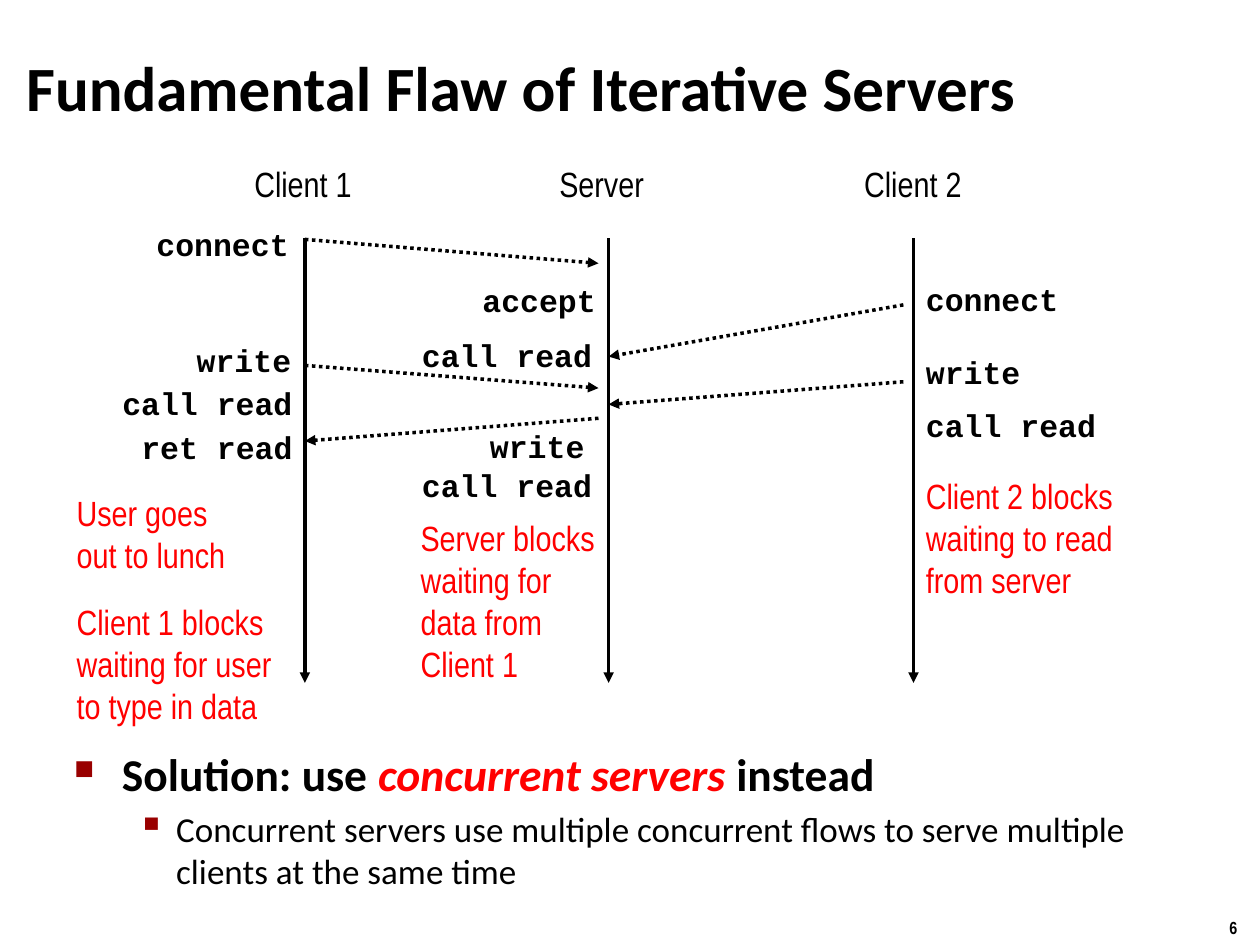
from typing import NamedTuple

from lxml.etree import SubElement
from pptx import Presentation
from pptx.dml.color import RGBColor
from pptx.enum.dml import MSO_LINE
from pptx.enum.shapes import MSO_CONNECTOR
from pptx.enum.text import MSO_ANCHOR, MSO_AUTO_SIZE, PP_ALIGN
from pptx.oxml.ns import qn
from pptx.util import Inches, Pt

BLACK = RGBColor(0x00, 0x00, 0x00)
RED = RGBColor(0xFF, 0x00, 0x00)
BULLET_RED = RGBColor(0x99, 0x00, 0x00)
HEADING, LABEL, CODE = "Calibri", "Arial Narrow", "Courier New"

CLIENT_1, SERVER, CLIENT_2 = 2.42, 4.83, 7.25
GAP = 0.08
TIMELINE_TOP, TIMELINE_BOTTOM = 1.89, 5.42


class Box(NamedTuple):
    x: float
    y: float
    w: float
    h: float


class Call(NamedTuple):
    text: str
    box: Box
    align: PP_ALIGN = PP_ALIGN.LEFT


class Note(NamedTuple):
    lines: list[str]
    box: Box
    color: RGBColor = RED
    gap_before: int | None = None  # index of the line that starts a new block


class Message(NamedTuple):
    x1: float
    y1: float
    x2: float
    y2: float


HEADERS = [
    Note(["Client 1"], Box(1.92, 1.24, 0.98, 0.44), BLACK),
    Note(["Server"], Box(4.34, 1.24, 0.88, 0.44), BLACK),
    Note(["Client 2"], Box(6.76, 1.24, 0.98, 0.44), BLACK),
]
NOTES = [
    Note(["User goes", "out to lunch", "Client 1 blocks", "waiting for user",
          "to type in data"], Box(0.51, 3.85, 1.76, 2.02), gap_before=2),
    Note(["Client 2 blocks", "waiting to read", "from server"],
         Box(CLIENT_2, 3.72, 1.7, 1.11)),
    Note(["Server blocks", "waiting for", "data from", "Client 1"],
         Box(3.24, 4.05, 1.6, 1.45)),
]
CALLS = [
    Call("connect", Box(1.13, 1.74, 1.26, 0.4), PP_ALIGN.RIGHT),
    Call("write", Box(1.45, 2.66, 0.96, 0.4), PP_ALIGN.RIGHT),
    Call("call read", Box(0.86, 3.0, 1.56, 0.4), PP_ALIGN.RIGHT),
    Call("ret read", Box(1.01, 3.35, 1.41, 0.4), PP_ALIGN.RIGHT),
    Call("accept", Box(3.73, 2.18, 1.11, 0.4)),
    Call("call read", Box(3.25, 2.62, 1.57, 0.4)),
    Call("write", Box(3.79, 3.34, 0.96, 0.4)),
    Call("call read", Box(3.25, 3.65, 1.56, 0.4)),
    Call("connect", Box(CLIENT_2, 2.17, 1.26, 0.4)),
    Call("write", Box(CLIENT_2, 2.75, 0.96, 0.4)),
    Call("call read", Box(CLIENT_2, 3.17, 1.56, 0.4)),
]
MESSAGES = [
    Message(CLIENT_1, 1.9, SERVER - GAP, 2.09),
    Message(CLIENT_2 - GAP, 2.42, SERVER, 2.83),
    Message(CLIENT_1, 2.9, SERVER - GAP, 3.08),
    Message(CLIENT_2 - GAP, 3.03, SERVER, 3.21),
    Message(SERVER - GAP, 3.32, CLIENT_1, 3.5),
]


def add_frame(slide, box: Box, wrap: bool = False):
    tf = slide.shapes.add_textbox(*(Inches(v) for v in box)).text_frame
    tf.word_wrap = wrap
    tf.auto_size = MSO_AUTO_SIZE.NONE if wrap else MSO_AUTO_SIZE.SHAPE_TO_FIT_TEXT
    return tf


def add_run(p, text: str, *, font: str, size: float, color: RGBColor = BLACK,
            bold: bool = False, italic: bool = False) -> None:
    r = p.add_run()
    r.text = text
    r.font.name = font
    r.font.size = Pt(size)
    r.font.bold = bold
    r.font.italic = italic
    r.font.color.rgb = color


def set_bullet(p, char: str, percent: int, margin: float, hang: float) -> None:
    pPr = p._p.get_or_add_pPr()
    pPr.set("marL", str(Inches(margin)))
    pPr.set("indent", str(-Inches(hang)))
    color = SubElement(pPr, qn("a:buClr"))
    SubElement(color, qn("a:srgbClr"), val=str(BULLET_RED))
    SubElement(pPr, qn("a:buSzPct"), val=str(percent * 1000))
    SubElement(pPr, qn("a:buChar"), char=char)


def add_arrow(slide, x1: float, y1: float, x2: float, y2: float,
              dash: MSO_LINE | None = None) -> None:
    cn = slide.shapes.add_connector(
        MSO_CONNECTOR.STRAIGHT, Inches(x1), Inches(y1), Inches(x2), Inches(y2))
    cn.line.color.rgb = BLACK
    cn.line.width = Pt(2)
    if dash is not None:
        cn.line.dash_style = dash
    SubElement(cn.line._get_or_add_ln(), qn("a:tailEnd"), type="triangle")
    SubElement(cn._element.spPr, qn("a:effectLst"))


def add_note(slide, note: Note) -> None:
    tf = add_frame(slide, note.box)
    for i, line in enumerate(note.lines):
        p = tf.paragraphs[0] if i == 0 else tf.add_paragraph()
        if i == note.gap_before:
            p.space_before = Pt(14.4)
        add_run(p, line, font=LABEL, size=20, color=note.color)


def add_call(slide, call: Call) -> None:
    p = add_frame(slide, call.box).paragraphs[0]
    p.alignment = call.align
    add_run(p, call.text, font=CODE, size=18, bold=True)


def add_solution(slide) -> None:
    tf = add_frame(slide, Box(0.49, 5.87, 9.26, 1.26), wrap=True)
    p = tf.paragraphs[0]
    set_bullet(p, "■", 60, 0.38, 0.38)
    for text, color, italic in [("Solution: use ", BLACK, False),
                                ("concurrent servers ", RED, True),
                                ("instead", BLACK, False)]:
        add_run(p, text, font=HEADING, size=26, color=color, bold=True, italic=italic)
    p = tf.add_paragraph()
    p.level = 1
    p.space_before = Pt(4)
    set_bullet(p, "▪", 110, 0.81, 0.31)
    add_run(p, "Concurrent servers use multiple concurrent flows to serve "
               "multiple clients at the same time", font=HEADING, size=20)


def main() -> None:
    prs = Presentation()
    prs.slide_width, prs.slide_height = Inches(10), Inches(7.5)
    slide = prs.slides.add_slide(prs.slide_layouts[6])

    tf = add_frame(slide, Box(0.11, 0.37, 9.83, 0.63), wrap=True)
    tf.vertical_anchor = MSO_ANCHOR.MIDDLE
    add_run(tf.paragraphs[0], "Fundamental Flaw of Iterative Servers",
            font=HEADING, size=36, bold=True)
    add_solution(slide)

    for note in HEADERS + NOTES:
        add_note(slide, note)
    for x in (CLIENT_1, SERVER, CLIENT_2):
        add_arrow(slide, x, TIMELINE_TOP, x, TIMELINE_BOTTOM)
    for message in MESSAGES:
        add_arrow(slide, *message, dash=MSO_LINE.ROUND_DOT)
    for call in CALLS:
        add_call(slide, call)

    tf = add_frame(slide, Box(9.66, 7.23, 0.34, 0.27))
    add_run(tf.paragraphs[0], "6", font=LABEL, size=10, bold=True)
    prs.save("out.pptx")


if __name__ == "__main__":
    main()
